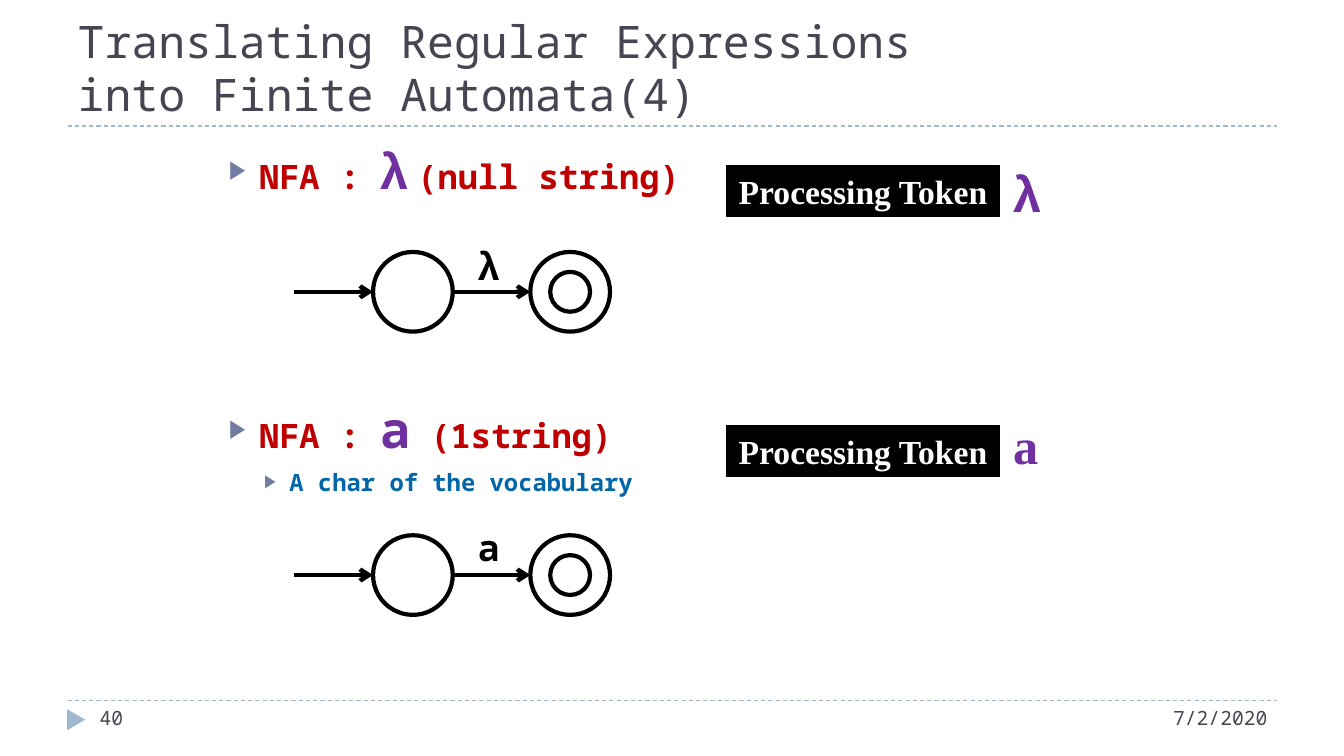
import pptx
import pptx.util
import pptx.dml.color
import pptx.enum.dml
import pptx.enum.shapes
import pptx.enum.text
import pptx.oxml
import pptx.oxml.ns
from dataclasses import dataclass

Inches, Pt = pptx.util.Inches, pptx.util.Pt
Shape = pptx.enum.shapes.MSO_SHAPE
Align = pptx.enum.text.PP_ALIGN
Anchor = pptx.enum.text.MSO_ANCHOR
Fit = pptx.enum.text.MSO_AUTO_SIZE
NS = 'xmlns:a="http://schemas.openxmlformats.org/drawingml/2006/main"'


@dataclass(frozen=True)
class Theme:
    mono: str = "Noto Sans Mono"
    sans: str = "Arial"
    serif: str = "Times New Roman"
    ink: str = "464653"
    black: str = "000000"
    white: str = "FFFFFF"
    rule: str = "9FB8CD"
    mark: str = "727CA3"
    red: str = "C00000"
    plum: str = "7030A0"
    blue: str = "0366A9"
    head: int = 32
    big: int = 36
    main: int = 24
    sub: int = 17
    foot: int = 14


T = Theme()

TITLE = ["Translating Regular Expressions ", "into Finite Automata(4)"]
# Runs are (text, size, font, colour, bold).
BODY = [
    dict(level=0, left=0.3, hang=0.3, before=0, runs=[
        ("NFA : ", T.main, T.mono, T.red, True),
        ("λ", T.big, T.sans, T.plum, True),
        (" ", T.main, T.sans, T.black, True),
        ("(null string)", T.main, T.mono, T.red, True)]),
    dict(level=0, left=0.3, hang=0.3, before=142, runs=[
        ("NFA : ", T.main, T.mono, T.red, True),
        ("a", T.big, T.mono, T.plum, True),
        (" ", T.main, T.mono, T.black, True),
        ("(1string)", T.main, T.mono, T.red, True)]),
    dict(level=1, left=0.6, hang=0.25, before=6, runs=[
        ("A char of the vocabulary", T.sub, T.mono, T.blue, True)]),
]
FOOT = [("7/2/2020", 9.33, 3.34, Align.RIGHT), ("40", 0.89, 2.89, Align.LEFT)]
# Each automaton: top of its states, label, label size, font, label top
NETS = [(2.5, "λ", 28, T.sans, 2.34), (5.31, "a", 26, T.mono, 5.16)]
# Each token: text, font, top of text, top of black box
TOKENS = [("λ", T.sans, 1.56, 1.64), ("a", T.serif, 4.06, 4.22)]
RULES = [1.25, 6.95]
STATE = 0.79
START, FIRST, LAST = 2.92, 3.7, 5.26


def color(code):
    return pptx.dml.color.RGBColor.from_string(code)


def add_run(para, text, size, font, code, bold=False):
    run = para.add_run()
    run.text = text
    run.font.size, run.font.name, run.font.bold = Pt(size), font, bold
    run.font.color.rgb = color(code)


def place(shape, left, top, width, height):
    shape.left, shape.top = Inches(left), Inches(top)
    shape.width, shape.height = Inches(width), Inches(height)


def add_text(slide, box, run, align=Align.LEFT, wrap=False):
    frame = slide.shapes.add_textbox(*map(Inches, box)).text_frame
    frame.word_wrap = wrap
    frame.paragraphs[0].alignment = align
    add_run(frame.paragraphs[0], *run)


def add_line(slide, ends, code, width, arrow=False):
    """Draw a straight arrow, or a dashed rule when arrow is False."""
    line = slide.shapes.add_connector(
        pptx.enum.shapes.MSO_CONNECTOR.STRAIGHT, *map(Inches, ends))
    line.line.color.rgb, line.line.width = color(code), Pt(width)
    if arrow:
        line.line._get_or_add_ln().append(
            pptx.oxml.parse_xml(f'<a:tailEnd {NS} type="arrow"/>'))
    else:
        line.line.dash_style = pptx.enum.dml.MSO_LINE.DASH
    line._element.spPr.append(pptx.oxml.parse_xml(f'<a:effectLst {NS}/>'))


def add_form(slide, kind, box, fill, edge, width):
    form = slide.shapes.add_shape(kind, *map(Inches, box))
    form.shadow.inherit = False
    form.fill.solid()
    form.fill.fore_color.rgb = color(fill)
    if edge:
        form.line.color.rgb, form.line.width = color(edge), Pt(width)
    else:
        form.line.fill.background()
    return form


def add_bullet(para, left, hang):
    props = para._p.get_or_add_pPr()
    props.set("marL", str(Inches(left)))
    props.set("indent", str(-Inches(hang)))
    for item in (f'<a:buClr {NS}><a:srgbClr val="{T.mark}"/></a:buClr>',
                 f'<a:buSzPct {NS} val="76000"/>',
                 f'<a:buFont {NS} typeface="{T.sans}"/>',
                 f'<a:buChar {NS} char="▶"/>'):
        props.append(pptx.oxml.parse_xml(item))


def fill_title(shape):
    place(shape, 0.67, 0.17, 12, 1.08)
    frame = shape.text_frame
    frame.auto_size, frame.vertical_anchor = Fit.NONE, Anchor.BOTTOM
    para = frame.paragraphs[0]
    para.alignment = Align.LEFT
    for index, text in enumerate(TITLE):
        if index:
            para.add_line_break()
        add_run(para, text, T.head, T.mono, T.ink)


def fill_body(shape):
    place(shape, 2.17, 1.33, 9, 5.4)
    frame = shape.text_frame
    frame.auto_size = Fit.NONE
    for index, item in enumerate(BODY):
        para = frame.add_paragraph() if index else frame.paragraphs[0]
        para.level, para.space_before = item["level"], Pt(item["before"])
        add_bullet(para, item["left"], item["hang"])
        for run in item["runs"]:
            add_run(para, *run)


def add_net(slide, top, label, size, font, text_top):
    mid = top + STATE / 2
    add_form(slide, Shape.OVAL, (FIRST, top, STATE, STATE), T.white, T.black, 3)
    for start, end in ((START, FIRST), (FIRST + STATE, LAST)):
        add_line(slide, (start, mid, end, mid), T.black, 3, arrow=True)
    add_text(slide, (4.64, text_top, 0.42, 0.56), (label, size, font, T.black, True))
    add_form(slide, Shape.DONUT, (LAST, top, STATE, STATE), T.white, T.black, 3)


def add_token(slide, text, font, text_top, box_top):
    add_text(slide, (9.95, text_top, 0.48, 0.71), (text, T.big, font, T.plum, True))
    box = add_form(slide, Shape.RECTANGLE, (7.21, box_top, 2.7, 0.51),
                   T.black, T.black, 0.75)
    frame = box.text_frame
    frame.word_wrap = False
    frame.paragraphs[0].alignment = Align.CENTER
    add_run(frame.paragraphs[0], "Processing Token", T.main, T.serif, T.white, True)


def main():
    deck = pptx.Presentation()
    deck.slide_width, deck.slide_height = Inches(13.33), Inches(7.5)
    slide = deck.slides.add_slide(deck.slide_layouts[1])
    for y in RULES:
        add_line(slide, (0.67, y, 12.67, y), T.rule, 0.75)
    mark = add_form(slide, Shape.ISOSCELES_TRIANGLE, (0.65, 7.05, 0.21, 0.18),
                    T.rule, None, 0)
    mark.rotation = 90
    fill_title(slide.shapes.title)
    fill_body(slide.placeholders[1])
    for text, left, width, align in FOOT:
        add_text(slide, (left, 6.95, width, 0.4),
                 (text, T.foot, T.mono, T.ink), align, wrap=True)
    for net in NETS:
        add_net(slide, *net)
    for token in TOKENS:
        add_token(slide, *token)
    deck.save("out.pptx")


if __name__ == "__main__":
    main()
